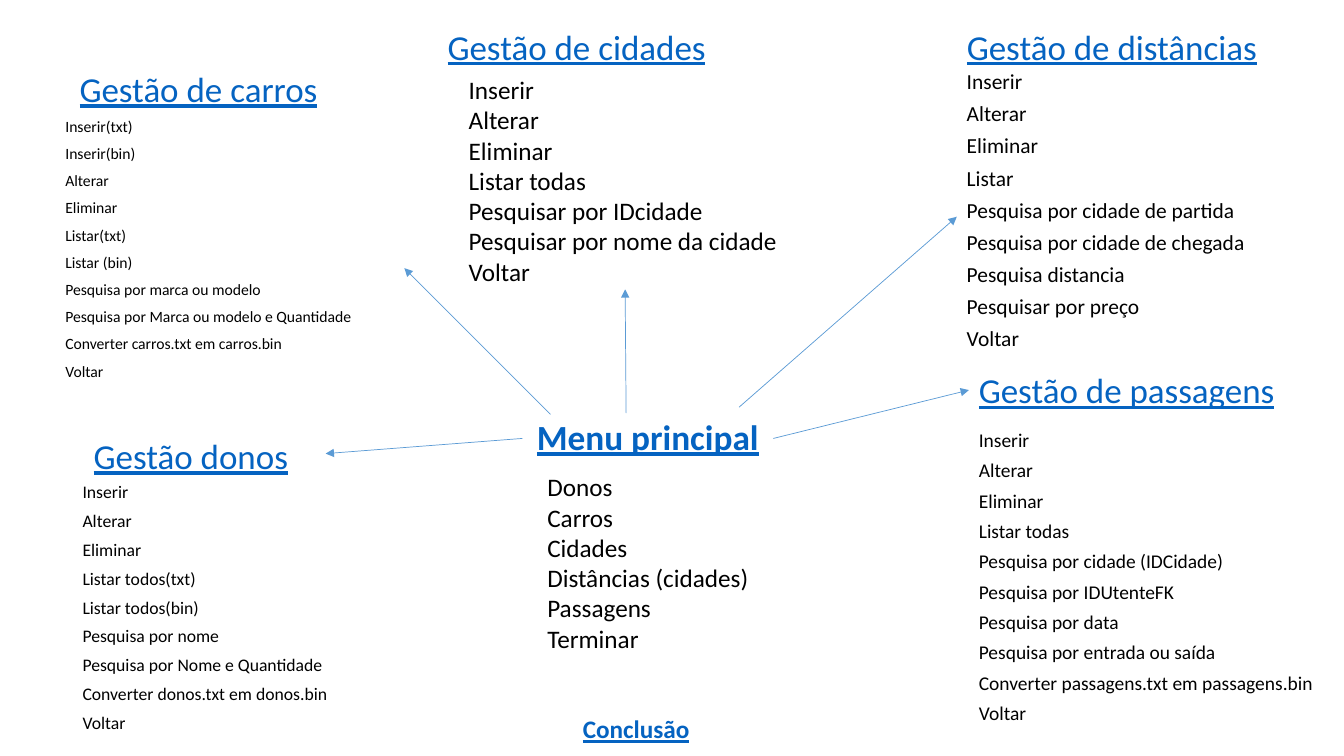
import pptx
import pptx.util
import pptx.dml.color
import pptx.enum.shapes
import pptx.enum.text
import pptx.oxml
import pptx.oxml.ns

Inches = pptx.util.Inches
Pt = pptx.util.Pt
ALIGN = pptx.enum.text.PP_ALIGN
ANCHOR = pptx.enum.text.MSO_ANCHOR

COLORS = {"head": "0563C1", "item": "000000", "arrow": "5B9BD5"}
HEAD = {"size": Pt(25), "underline": True}
MAIN = {"size": Pt(25.2), "underline": True, "bold": True}
END = {"size": Pt(18), "underline": True, "bold": True}
TIGHT = {"line_spacing": 0.7, "space_before": Pt(10)}
MID = {"alignment": ALIGN.CENTER}

# Each menu: list box, head box relative to it, head, item size, spacing, items
MENUS = [
    ((0.72, 4.78, 3.62, 2.65), (0.11, -0.52, 2.15, 0.52), "Gestão donos", 12.6, TIGHT,
     ["Inserir", "Alterar", "Eliminar", "Listar todos(txt)", "Listar todos(bin)",
      "Pesquisa por nome", "Pesquisa por Nome e Quantidade",
      "Converter donos.txt em donos.bin", "Voltar"]),
    ((0.55, 1.16, 3.46, 3), (0.14, -0.54, 2.59, 0.52), "Gestão de carros", 11.2, TIGHT,
     ["Inserir(txt)", "Inserir(bin)", "Alterar", "Eliminar", "Listar(txt)", "Listar (bin)",
      "Pesquisa por marca ou modelo", "Pesquisa por Marca ou modelo e Quantidade",
      "Converter carros.txt em carros.bin", "Voltar"]),
    ((9.61, 4.26, 3.61, 3.17), (0, -0.65, 3.17, 0.52), "Gestão de passagens", 13.9, TIGHT,
     ["Inserir", "Alterar", "Eliminar", "Listar todas", "Pesquisa por cidade (IDCidade)",
      "Pesquisa por IDUtenteFK", "Pesquisa por data", "Pesquisa por entrada ou saída",
      "Converter passagens.txt em passagens.bin", "Voltar"]),
    ((9.49, 0.7, 3.46, 2.91), (0, -0.5, 3.11, 0.52), "Gestão de distâncias", 15.3, TIGHT,
     ["Inserir", "Alterar", "Eliminar", "Listar", "Pesquisa por cidade de partida",
      "Pesquisa por cidade de chegada", "Pesquisa distancia", "Pesquisar por preço",
      "Voltar"]),
    ((4.55, 0.69, 3.29, 2.52), (-0.21, -0.49, 2.79, 0.52), "Gestão de cidades", 18,
     {"alignment": ALIGN.JUSTIFY},
     ["Inserir", "Alterar", "Eliminar", "Listar todas", "Pesquisar por IDcidade",
      "Pesquisar por nome da cidade", "Voltar"]),
]
CENTER = ["Donos", "Carros", "Cidades", "Distâncias (cidades)", "Passagens", "Terminar"]
ARROWS = [
    (5.18, 4.35, 3.23, 4.5),
    (5.46, 4.11, 4.01, 2.66),
    (6.21, 4.1, 6.2, 2.87),
    (7.33, 4.04, 9.49, 2.15),
    (7.67, 4.35, 9.61, 3.87),
]


def apply(target, form):
    for name, value in form.items():
        setattr(target, name, value)


def add_text(slide, box, lines, color, font, para=None, frame=None):
    """Place a text box with one paragraph per line."""
    body = slide.shapes.add_textbox(*map(Inches, box)).text_frame
    apply(body, {"word_wrap": True, **(frame or {})})
    for i, line in enumerate(lines):
        p = body.add_paragraph() if i else body.paragraphs[0]
        apply(p, para or {})
        run = p.add_run()
        run.text = line
        apply(run.font, {"name": "Calibri", **font})
        run.font.color.rgb = pptx.dml.color.RGBColor.from_string(COLORS[color])


def add_menu(slide, box, shift, head, size, para, items):
    dx, dy, wide, high = shift
    spot = (box[0] + dx, box[1] + dy, wide, high)
    add_text(slide, spot, [head], "head", HEAD, frame={"word_wrap": False})
    add_text(slide, box, items, "item", {"size": Pt(size)}, para)


def add_center(slide, box):
    """Place the main menu and the closing entry below it."""
    x, y, wide, high = box
    add_text(slide, (x, y, wide, 0.51), ["Menu principal"], "head", MAIN,
             {**MID, "line_spacing": 0.9}, {"vertical_anchor": ANCHOR.MIDDLE})
    add_text(slide, (x + 0.15, y + 0.53, 2.26, 1.92), CENTER, "item", {"size": Pt(18)})
    add_text(slide, (x + 0.12, y + high - 0.4, 2.02, 0.4), ["Conclusão"], "head", END, MID)


def add_arrow(slide, ends):
    kind = pptx.enum.shapes.MSO_CONNECTOR.STRAIGHT
    arrow = slide.shapes.add_connector(kind, *map(Inches, ends))
    arrow.line.width = Pt(0.5)
    arrow.line.color.rgb = pptx.dml.color.RGBColor.from_string(COLORS["arrow"])
    tip = pptx.oxml.parse_xml(
        f'<a:tailEnd {pptx.oxml.ns.nsdecls("a")} type="triangle"/>')
    arrow.line._get_or_add_ln().append(tip)
    flat = pptx.oxml.parse_xml(f'<a:effectLst {pptx.oxml.ns.nsdecls("a")}/>')
    arrow._element.spPr.append(flat)


def main():
    deck = pptx.Presentation()
    apply(deck, {"slide_width": Inches(13.33), "slide_height": Inches(7.5)})
    slide = deck.slides.add_slide(deck.slide_layouts[6])
    add_center(slide, (5.18, 4.1, 2.49, 3.33))
    for menu in MENUS:
        add_menu(slide, *menu)
    for ends in ARROWS:
        add_arrow(slide, ends)
    deck.save("out.pptx")


if __name__ == "__main__":
    main()
